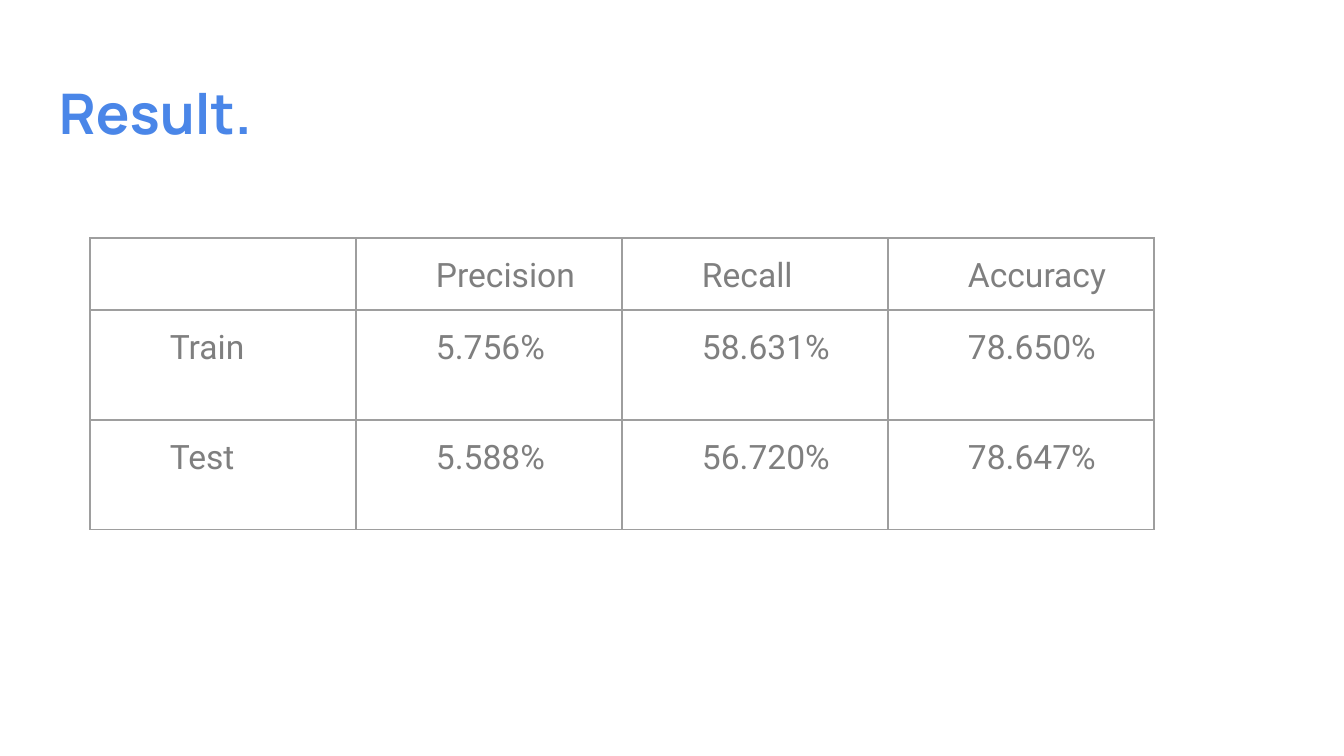
from lxml import etree
from pptx import Presentation
from pptx.dml.color import RGBColor
from pptx.enum.text import MSO_ANCHOR, PP_ALIGN
from pptx.oxml.ns import qn
from pptx.util import Emu, Pt

BLUE = RGBColor(0x4A, 0x86, 0xE8)
GRAY = RGBColor(0x7F, 0x7F, 0x7F)
RULE = RGBColor(0x9E, 0x9E, 0x9E)
TOP, LEFT = MSO_ANCHOR.TOP, PP_ALIGN.LEFT
EMU_PER_PX = 914400 / 134.4

TITLE_FONT = {"name": "Manrope", "size": Pt(30), "bold": True}
BODY_FONT = {"name": "Roboto", "size": Pt(18), "bold": False}
BODY_PARA = {"alignment": LEFT, "line_spacing": 1.15, "space_after": Pt(16)}
SIDES = ("left", "right", "top", "bottom")

RESULTS = [
    ["", "Precision", "Recall", "Accuracy"],
    ["Train", "5.756%", "58.631%", "78.650%"],
    ["Test", "5.588%", "56.720%", "78.647%"],
]


def px(length):
    return Emu(round(length * EMU_PER_PX))


def apply(target, values):
    for name, value in values.items():
        setattr(target, name, value)


class SlideBuilder:
    inset = px(13)
    indent = px(67)
    border = Pt(0.75)

    def __init__(self, deck):
        self.page = deck.slides.add_slide(deck.slide_layouts[5])

    def add_span(self, para, text, font, color):
        span = para.add_run()
        span.text = text
        apply(span.font, font)
        span.font.color.rgb = color

    def title(self, text, left, top, width, height):
        box = self.page.shapes.title
        apply(box, {"left": px(left), "top": px(top),
                    "width": px(width), "height": px(height)})
        frame = box.text_frame
        apply(frame, {f"margin_{side}": self.inset for side in SIDES})
        apply(frame, {"vertical_anchor": TOP, "word_wrap": True})
        para = frame.paragraphs[0]
        para.alignment = LEFT
        self.add_span(para, text, TITLE_FONT, BLUE)

    def table(self, data, left, top, column_width, row_heights):
        columns = len(data[0])
        grid = self.page.shapes.add_table(
            len(data), columns, px(left), px(top),
            px(column_width * columns), px(sum(row_heights))).table
        apply(grid, {"first_row": False, "horz_banding": False})
        for column in grid.columns:
            column.width = px(column_width)
        for row, height, values in zip(grid.rows, row_heights, data):
            row.height = px(height)
            for cell, text in zip(row.cells, values):
                self.cell(cell, text)

    def cell(self, cell, text):
        apply(cell, {f"margin_{side}": self.inset for side in SIDES})
        cell.vertical_anchor = TOP
        self.borders(cell)
        cell.fill.background()
        if text:
            para = cell.text_frame.paragraphs[0]
            apply(para, BODY_PARA)
            para._p.get_or_add_pPr().set("marL", str(self.indent))
            self.add_span(para, text, BODY_FONT, GRAY)

    def borders(self, cell):
        properties = cell._tc.get_or_add_tcPr()
        for edge in ("a:lnL", "a:lnR", "a:lnT", "a:lnB"):
            line = etree.SubElement(properties, qn(edge), w=str(self.border))
            fill = etree.SubElement(line, qn("a:solidFill"))
            etree.SubElement(fill, qn("a:srgbClr"), val=str(RULE))


def main():
    deck = Presentation()
    apply(deck, {"slide_width": px(1344), "slide_height": px(756)})
    slide = SlideBuilder(deck)

    # Heading
    slide.title("Result.", 46, 66, 1253, 92)

    # Scores for the train and test sets
    slide.table(RESULTS, 90, 238, 266, [72, 110, 110])

    deck.save("out.pptx")


if __name__ == "__main__":
    main()
